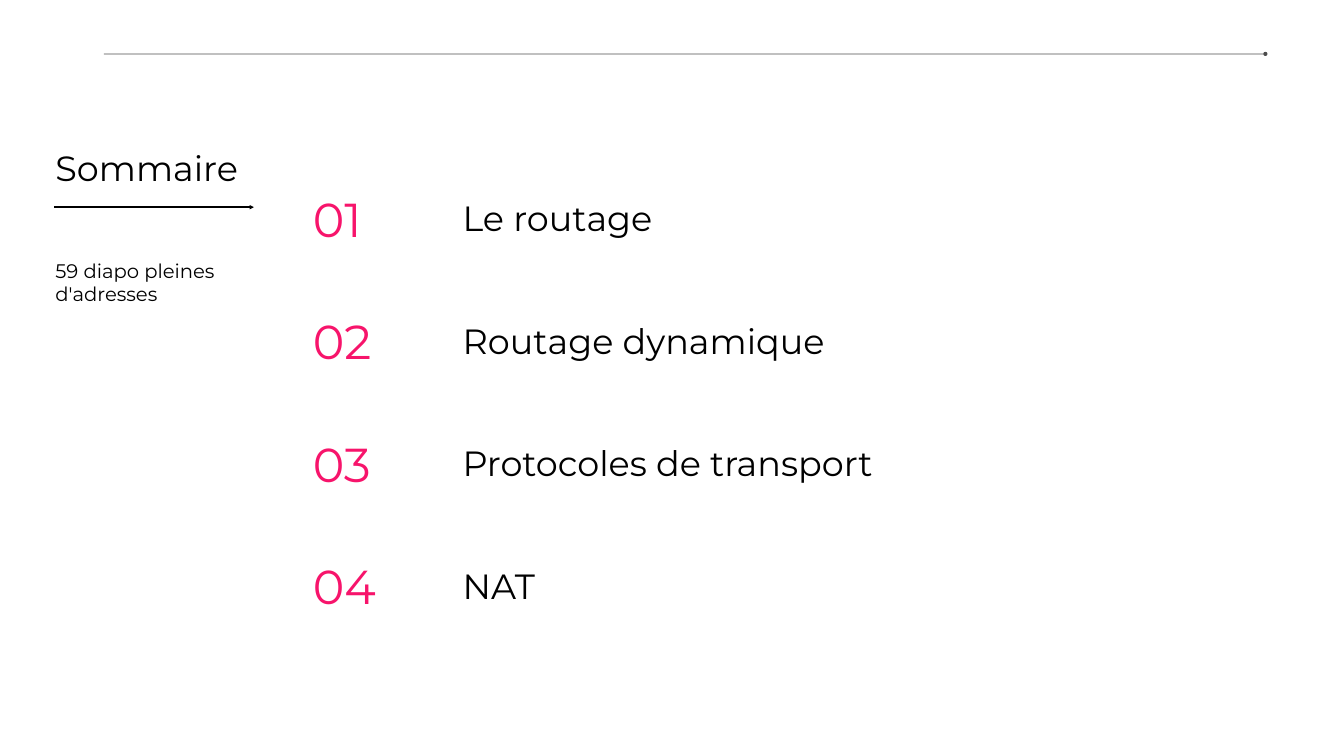
from lxml import etree
from pptx import Presentation
from pptx.dml.color import RGBColor
from pptx.enum.shapes import MSO_CONNECTOR as CONN
from pptx.enum.text import MSO_ANCHOR as ANCHOR, MSO_AUTO_SIZE as AUTO
from pptx.oxml.ns import qn
from pptx.util import Emu, Pt

# Content: number, number width, chapter, chapter width
TITLE = "Sommaire"
NOTE = "59 diapo pleines d'adresses"
CHAPTERS = [
    ("01", 131, "Le routage", 1358),
    ("02", 172, "Routage dynamique", 1139),
    ("03", 172, "Protocoles de transport", 1139),
    ("04", 172, "NAT", 1139),
]

# Layout, 100 px to the inch
SCALE = 9144
WIDTH, HEIGHT = 2667, 1500
SIDE_X, NUMBER_X, CHAPTER_X = 104, 615, 912
FIRST_Y, PITCH = 370, 243
NUMBER_H, CHAPTER_H = 126, 95
INSET = 6
FONT, BLACK, PINK = "Montserrat", "000000", "F7146B"


def px(n):
    return Emu(round(n * SCALE))


def color(value):
    return RGBColor.from_string(value)


def add_text(s, text, x, y, w, h, size=50, fill=BLACK):
    sp = s.shapes.add_textbox(px(x), px(y), px(w), px(h))
    tf = sp.text_frame
    tf.word_wrap = True
    tf.auto_size = AUTO.SHAPE_TO_FIT_TEXT
    tf.vertical_anchor = ANCHOR.MIDDLE
    tf.margin_left = tf.margin_right = px(INSET)
    tf.margin_top = tf.margin_bottom = px(INSET)
    r = tf.paragraphs[0].add_run()
    r.text = text
    r.font.name, r.font.size = FONT, Pt(size)
    r.font.color.rgb = color(fill)


def add_rule(s, x1, x2, y, width, end, opacity=100):
    sp = s.shapes.add_connector(CONN.STRAIGHT, px(x1), px(y), px(x2), px(y))
    sp.line.width = Pt(width)
    sp.line.color.rgb = color(BLACK)
    ln = sp.line._get_or_add_ln()
    if opacity < 100:
        clr = ln.find(".//" + qn("a:srgbClr"))
        etree.SubElement(clr, qn("a:alpha"), val=str(opacity * 1000))
    etree.SubElement(ln, qn("a:tailEnd"), type=end)
    etree.SubElement(sp._element.spPr, qn("a:effectLst"))


def main():
    prs = Presentation()
    prs.slide_width, prs.slide_height = px(WIDTH), px(HEIGHT)
    s = prs.slides.add_slide(prs.slide_layouts[6])

    # Header rule
    add_rule(s, 206, 2511, 107, 1, "oval", opacity=70)

    # Side column
    add_rule(s, 108, 504, 411, 2, "triangle")
    add_text(s, TITLE, SIDE_X, 285, 1118, 95)
    add_text(s, NOTE, SIDE_X, 507, 383, 105, size=28)

    # Chapter list, each name centred on its number
    for i, (number, number_w, chapter, chapter_w) in enumerate(CHAPTERS):
        y = FIRST_Y + i * PITCH
        add_text(s, number, NUMBER_X, y, number_w, NUMBER_H, size=68, fill=PINK)
        add_text(s, chapter, CHAPTER_X, y + (NUMBER_H - CHAPTER_H) // 2,
                 chapter_w, CHAPTER_H)

    prs.save("out.pptx")


if __name__ == "__main__":
    main()
